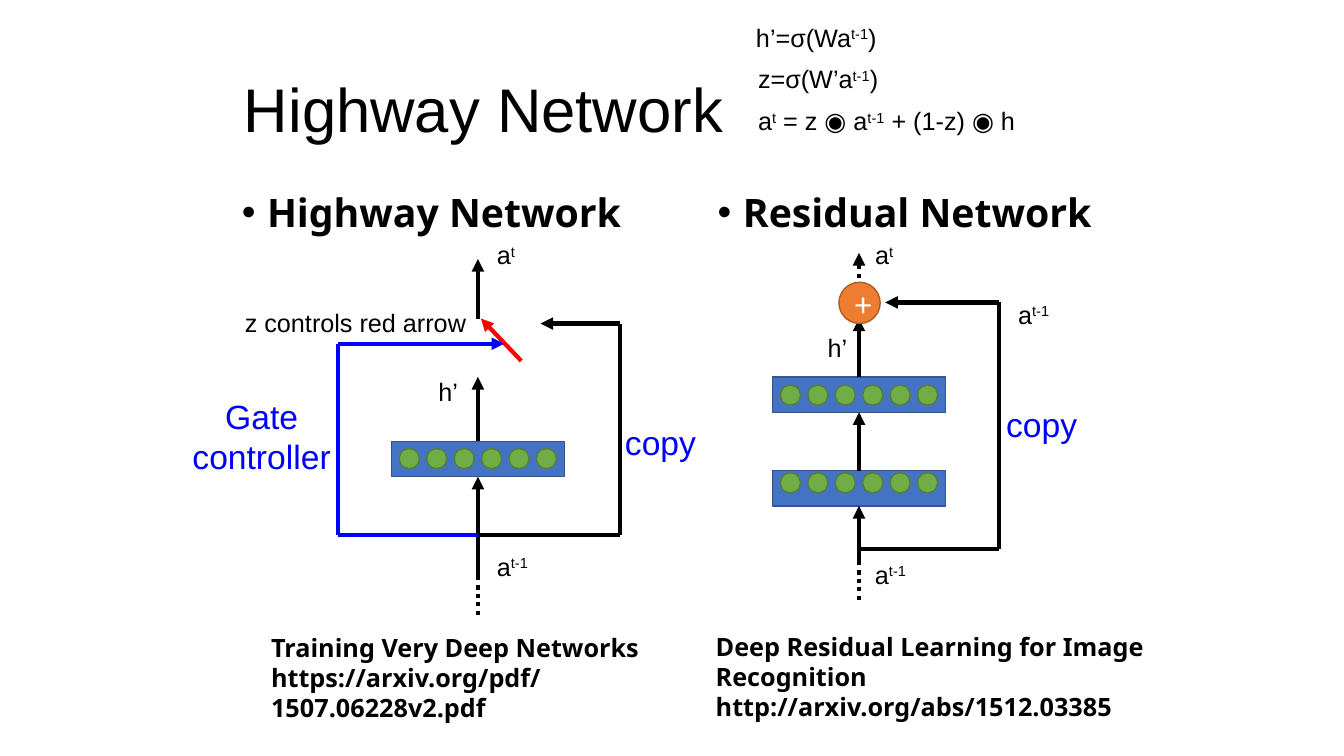
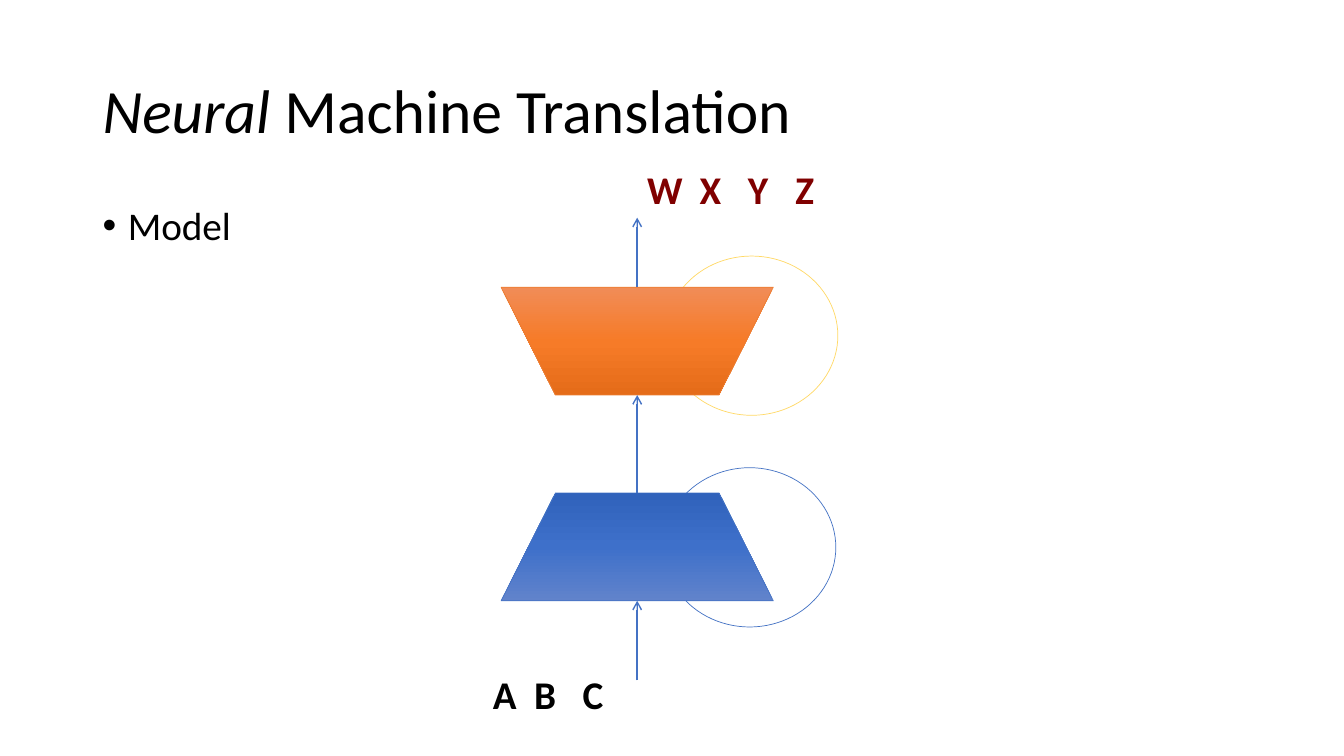
from copy import deepcopy
from dataclasses import dataclass
from typing import Optional

from lxml import etree
from pptx import Presentation
from pptx.dml.color import RGBColor
from pptx.enum.dml import MSO_LINE
from pptx.enum.shapes import MSO_CONNECTOR, MSO_SHAPE
from pptx.enum.text import MSO_ANCHOR, PP_ALIGN
from pptx.oxml.ns import qn
from pptx.shapes.autoshape import Shape
from pptx.slide import Slide
from pptx.util import Inches, Pt

RECTANGLE = MSO_SHAPE.RECTANGLE
ELLIPSE = MSO_SHAPE.OVAL
TRAPEZOID = MSO_SHAPE.FLOWCHART_MANUAL_OPERATION
STRAIGHT = MSO_CONNECTOR.STRAIGHT
DOTTED = MSO_LINE.ROUND_DOT
MIDDLE = MSO_ANCHOR.MIDDLE
LEFT, CENTER = PP_ALIGN.LEFT, PP_ALIGN.CENTER
TOP_SITE, BOTTOM_SITE = 0, 2

BLACK, WHITE, RED = "000000", "FFFFFF", "FF0000"
GATE_BLUE, OUTPUT_RED = "0000FF", "800000"
LAYER_BLUE, LAYER_EDGE = "4472C4", "325491"
NEURON_GREEN, NEURON_EDGE = "70AD47", "538035"
SUM_ORANGE, SUM_EDGE = "ED7D31", "AF5C24"
LOOP_YELLOW = "FFD966"

ARIAL, CALIBRI, NOTO = "Arial", "Calibri", "Noto Sans"
LAYER_WIDTH, LAYER_HEIGHT = 1.72, 0.35
NEURON_SIZE, NEURON_COUNT, NEURON_INSET = 0.2, 6, 0.08
HIGHWAY_AXIS, RESIDUAL_AXIS, MODEL_AXIS = 4.74, 8.52, 6.32

Point = tuple[float, float]
Box = tuple[float, float, float, float]
Joint = tuple[Shape, int]


@dataclass
class Label:
    """Text in a box; parts between carets are raised."""
    text: str
    box: Box
    size: float = 18
    font: str = ARIAL
    color: str = BLACK
    bold: bool = False
    align: PP_ALIGN = LEFT
    wrap: bool = False
    outline: bool = False
    bullet: bool = False
    tabs: tuple[float, ...] = ()


@dataclass
class Line:
    start: Point
    end: Point
    color: str = BLACK
    width: float = 3
    head: Optional[str] = "triangle"
    dotted: bool = False
    begin_joint: Optional[Joint] = None
    end_joint: Optional[Joint] = None


def rgb(color: str) -> RGBColor:
    return RGBColor.from_string(color)


def inches(values: tuple[float, ...]) -> list[Inches]:
    return [Inches(value) for value in values]


def write_paragraph(paragraph, text: str, label: Label) -> None:
    properties = paragraph._p.get_or_add_pPr()
    if label.outline:
        paragraph.line_spacing = 0.9
    if label.bullet:
        paragraph.space_before = Pt(10)
        properties.set("marL", str(Inches(0.25)))
        properties.set("indent", str(Inches(-0.25)))
        etree.SubElement(properties, qn("a:buFont"), typeface=ARIAL)
        etree.SubElement(properties, qn("a:buChar"), char="•")
    if label.tabs:
        tab_list = etree.SubElement(properties, qn("a:tabLst"))
        for position in label.tabs:
            etree.SubElement(tab_list, qn("a:tab"), pos=str(Inches(position)), algn="l")
    paragraph.alignment = label.align
    font = paragraph.font
    font.name, font.size, font.bold = label.font, Pt(label.size), label.bold
    font.color.rgb = rgb(label.color)
    for index, part in enumerate(text.split("^")):
        if part:
            run = paragraph.add_run()
            run.text = part
            if index % 2:
                run._r.get_or_add_rPr().set("baseline", "30000")


def add_label(slide: Slide, label: Label) -> Shape:
    shape = slide.shapes.add_textbox(*inches(label.box))
    frame = shape.text_frame
    frame.word_wrap = label.wrap
    for index, text in enumerate(label.text.split("\n")):
        paragraph = frame.add_paragraph() if index else frame.paragraphs[0]
        write_paragraph(paragraph, text, label)
    return shape


def add_title(slide: Slide, text: str, box: Box, font: str) -> Shape:
    shape = add_label(slide, Label(text, box, 44, font, wrap=True, outline=True))
    shape.text_frame.vertical_anchor = MIDDLE
    return shape


def add_bullet(slide: Slide, text: str, box: Box, font: str, bold: bool) -> None:
    add_label(slide, Label(text, box, 28, font, bold=bold, wrap=True,
                           outline=True, bullet=True))


def add_figure(slide: Slide, kind: MSO_SHAPE, box: Box, fill: Optional[str],
               edge: str, edge_width: float = 1) -> Shape:
    shape = slide.shapes.add_shape(kind, *inches(box))
    shape.shadow.inherit = False
    if fill:
        shape.fill.solid()
        shape.fill.fore_color.rgb = rgb(fill)
    else:
        shape.fill.background()
    shape.line.color.rgb = rgb(edge)
    shape.line.width = Pt(edge_width)
    return shape


def add_trapezoid(slide: Slide, top: float, edge: str, colors: tuple[str, str, str],
                  rotation: float = 0) -> Shape:
    shape = add_figure(slide, TRAPEZOID, (MODEL_AXIS - 1.35, top, 2.7, 1.07), edge, edge, 0.5)
    shape.rotation = rotation
    shape.fill.gradient()
    shape.fill.gradient_angle = 270
    stop_list = shape._element.spPr.find(".//" + qn("a:gsLst"))
    stop_list.insert(1, deepcopy(stop_list[0]))
    for index, (stop, color) in enumerate(zip(shape.fill.gradient_stops, colors)):
        stop.position = index / 2
        stop.color.rgb = rgb(color)
    return shape


def add_layer(slide: Slide, axis: float, top: float, neuron_offset: float) -> Shape:
    """Draw a row of neurons centred on a vertical axis."""
    left = axis - LAYER_WIDTH / 2
    layer = add_figure(slide, RECTANGLE, (left, top, LAYER_WIDTH, LAYER_HEIGHT),
                       LAYER_BLUE, LAYER_EDGE)
    step = (LAYER_WIDTH - 2 * NEURON_INSET - NEURON_SIZE) / (NEURON_COUNT - 1)
    for index in range(NEURON_COUNT):
        box = (left + NEURON_INSET + index * step, top + neuron_offset,
               NEURON_SIZE, NEURON_SIZE)
        add_figure(slide, ELLIPSE, box, NEURON_GREEN, NEURON_EDGE)
    return layer


def add_line(slide: Slide, line: Line) -> None:
    ends = inches(line.start + line.end)
    connector = slide.shapes.add_connector(STRAIGHT, *ends)
    if line.begin_joint:
        connector.begin_connect(*line.begin_joint)
    if line.end_joint:
        connector.end_connect(*line.end_joint)
    # Joining ignores the rotation of a shape, so the ends are set again.
    connector.begin_x, connector.begin_y, connector.end_x, connector.end_y = ends
    connector.line.color.rgb = rgb(line.color)
    connector.line.width = Pt(line.width)
    if line.dotted:
        connector.line.dash_style = DOTTED
    properties = connector._element.spPr
    if line.head:
        etree.SubElement(properties.find(qn("a:ln")), qn("a:tailEnd"), type=line.head)
    etree.SubElement(properties, qn("a:effectLst"))


def add_route(slide: Slide, points: list[Point], color: str = BLACK) -> None:
    """Draw joined segments with an arrowhead on the last one."""
    for index, (start, end) in enumerate(zip(points, points[1:])):
        is_last = index == len(points) - 2
        add_line(slide, Line(start, end, color, head="triangle" if is_last else None))


def draw_residual(slide: Slide) -> None:
    axis = RESIDUAL_AXIS
    upper = add_layer(slide, axis, 3.74, 0.08)
    lower = add_layer(slide, axis, 4.67, 0.02)
    for line in (
        Line((axis, 4.67), (axis, 4.09), begin_joint=(lower, TOP_SITE),
             end_joint=(upper, BOTTOM_SITE)),
        Line((axis, 5.61), (axis, 5.02), end_joint=(lower, BOTTOM_SITE)),
        Line((axis, 3.74), (axis, 3.16), begin_joint=(upper, TOP_SITE)),
        Line((axis, 5.95), (axis, 5.62), head=None, dotted=True),
        Line((axis, 3.09), (axis, 2.51), dotted=True),
    ):
        add_line(slide, line)
    adder = add_figure(slide, ELLIPSE, (8.32, 2.8, 0.41, 0.41), SUM_ORANGE, SUM_EDGE)
    adder.text_frame.vertical_anchor = MIDDLE
    write_paragraph(adder.text_frame.paragraphs[0], "+",
                    Label("+", (8.32, 2.8, 0.41, 0.41), 24, CALIBRI, WHITE, align=CENTER))
    add_route(slide, [(axis, 5.45), (9.91, 5.45), (9.91, 3), (8.78, 3)])


def draw_highway(slide: Slide) -> None:
    axis = HIGHWAY_AXIS
    layer = add_layer(slide, axis, 4.38, 0.07)
    for line in (
        Line((5.17, 3.58), (4.77, 3.16), RED),
        Line((axis, 3.16), (axis, 2.57)),
        Line((axis, 5.75), (axis, 4.73), end_joint=(layer, BOTTOM_SITE)),
        Line((axis, 6.1), (axis, 5.77), head=None, dotted=True),
        Line((axis, 4.38), (axis, 3.74), begin_joint=(layer, TOP_SITE)),
    ):
        add_line(slide, line)
    add_route(slide, [(axis, 5.31), (6.15, 5.31), (6.15, 3.21), (5.36, 3.21)])
    add_route(slide, [(axis, 5.31), (3.35, 5.31), (3.35, 3.41), (5, 3.41)], GATE_BLUE)


def build_highway_slide(slide: Slide) -> None:
    add_title(slide, "Highway Network", (2.32, 0.39, 8.62, 1.45), ARIAL)
    for text, left in (("Residual Network", 7.02), ("Highway Network", 2.3)):
        add_bullet(slide, text, (left, 1.87, 4.25, 4.76), NOTO, True)
    draw_residual(slide)
    draw_highway(slide)
    for text, box in (
        ("Deep Residual Learning for Image Recognition\nhttp://arxiv.org/abs/1512.03385",
         (7, 6.21, 4.52, 1.01)),
        ("Training Very Deep Networks\nhttps://arxiv.org/pdf/1507.06228v2.pdf",
         (2.59, 6.22, 4.11, 1.01)),
    ):
        add_label(slide, Label(text, box, font=NOTO, bold=True, wrap=True))
    for text, box in (
        ("copy", (9.82, 3.96, 1.02, 0.51)),
        ("copy", (6.04, 4.14, 1.02, 0.51)),
        ("Gate controller", (1.81, 3.88, 1.57, 1.31)),
    ):
        add_label(slide, Label(text, box, 24, color=GATE_BLUE, align=CENTER, wrap=True))
    for text, left, top, width in (
        ("a^t-1^", 4.83, 5.42, 0.54),
        ("a^t-1^", 8.58, 5.5, 0.54),
        ("a^t^", 4.83, 2.33, 0.39),
        ("a^t^", 8.58, 2.33, 0.39),
        ("a^t-1^", 10, 2.92, 0.54),
        ("h’", 8.11, 3.25, 0.4),
        ("h’", 4.25, 3.68, 0.4),
        ("z controls red arrow", 2.33, 3, 2.43),
        ("h’=σ(Wa^t-1^)", 7.4, 0.17, 1.44),
        ("z=σ(W’a^t-1^)", 7.42, 0.58, 1.43),
        ("a^t^ = z ◉ a^t-1^ + (1-z) ◉ h", 7.42, 1, 2.82),
    ):
        add_label(slide, Label(text, (left, top, width, 0.4)))


def build_translation_slide(slide: Slide) -> None:
    for left, top, edge in ((6.6, 2.54, LOOP_YELLOW), (6.58, 4.64, LAYER_BLUE)):
        add_figure(slide, ELLIPSE, (left, top, 1.71, 1.58), None, edge, 0.5)
    title = add_title(slide, "Neural", (0.92, 0.4, 11.5, 1.45), CALIBRI)
    paragraph = title.text_frame.paragraphs[0]
    paragraph.runs[0].font.italic = True
    paragraph.add_run().text = " Machine Translation"
    add_bullet(slide, "Model", (0.92, 2, 11.5, 4.76), CALIBRI, False)

    encoder = add_trapezoid(slide, 4.89, LAYER_BLUE, ("6183CB", "3E70CA", "3062BB"), 180)
    decoder = add_trapezoid(slide, 2.85, SUM_ORANGE, ("F18C57", "F67B28", "E56C19"))
    # The encoder is upside down: its top site lies at the bottom.
    for start, end, begin_joint, end_joint in (
        (4.89, 3.92, (encoder, BOTTOM_SITE), (decoder, BOTTOM_SITE)),
        (6.75, 5.96, None, (encoder, TOP_SITE)),
        (2.85, 2.16, (decoder, TOP_SITE), None),
    ):
        add_line(slide, Line((MODEL_AXIS, start), (MODEL_AXIS, end), LAYER_BLUE, 1, "arrow",
                             begin_joint=begin_joint, end_joint=end_joint))
    for text, box, color, tabs in (
        ("A\tB\tC", (4.79, 6.6, 1.52, 0.57), BLACK, (0.41, 0.89)),
        ("W\tX\tY\tZ", (6.32, 1.59, 1.98, 0.57), OUTPUT_RED, (0.52, 1, 1.47)),
    ):
        add_label(slide, Label(text, box, 28, CALIBRI, color, True, wrap=True, tabs=tabs))


def main() -> None:
    presentation = Presentation()
    presentation.slide_width, presentation.slide_height = Inches(13.33), Inches(7.5)
    blank_layout = presentation.slide_layouts[6]
    for build in (build_highway_slide, build_translation_slide):
        build(presentation.slides.add_slide(blank_layout))
    presentation.save("out.pptx")


if __name__ == "__main__":
    main()
